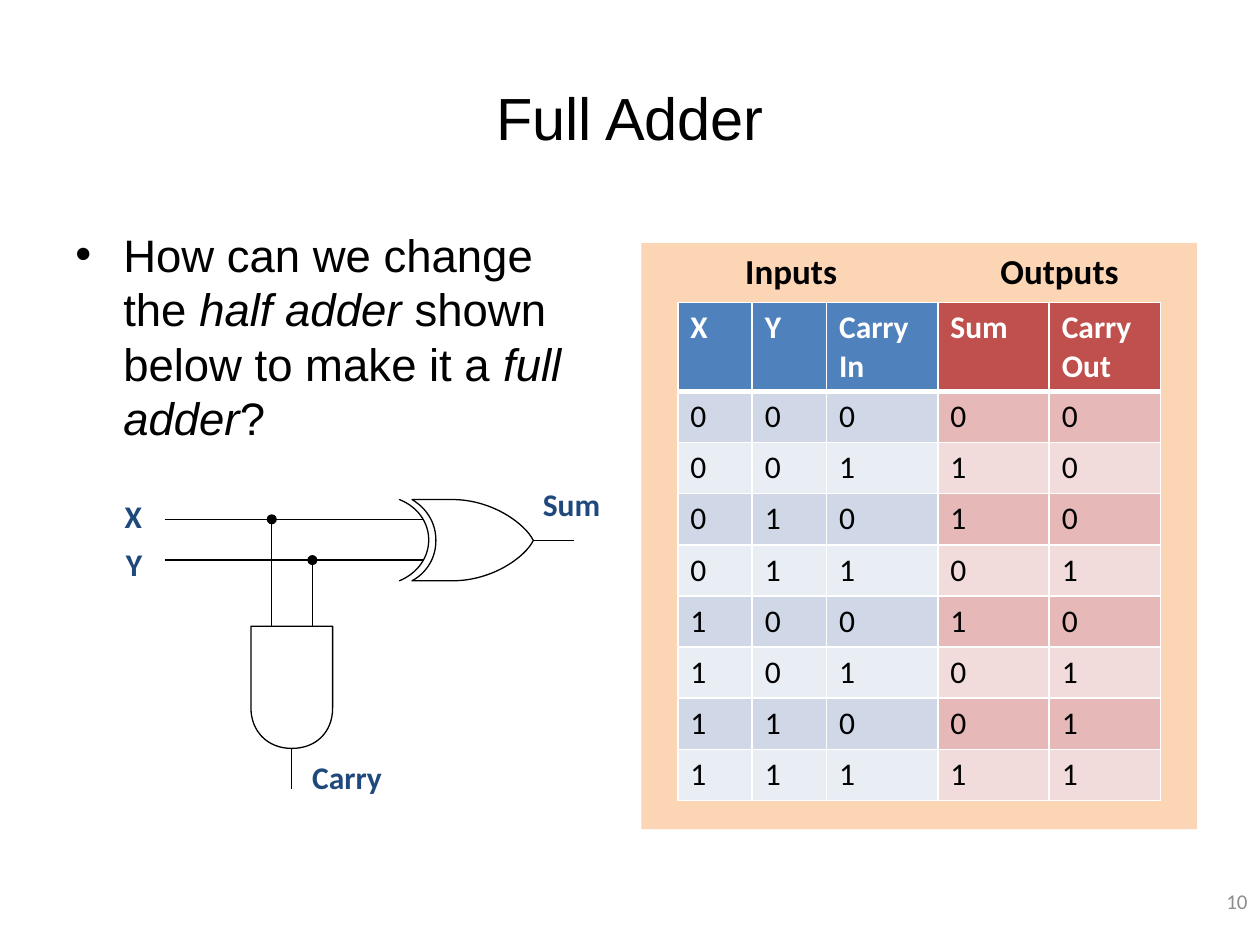
from itertools import product

from lxml import etree
from pptx import Presentation
from pptx.dml.color import RGBColor
from pptx.enum.shapes import MSO_CONNECTOR, MSO_SHAPE
from pptx.enum.text import MSO_ANCHOR, PP_ALIGN
from pptx.oxml.ns import qn
from pptx.util import Inches, Pt

LEFT, MID, RIGHT = PP_ALIGN.LEFT, PP_ALIGN.CENTER, PP_ALIGN.RIGHT
TOP, CENTER = MSO_ANCHOR.TOP, MSO_ANCHOR.MIDDLE
RECT, OVAL = MSO_SHAPE.RECTANGLE, MSO_SHAPE.OVAL
STRAIGHT = MSO_CONNECTOR.STRAIGHT

COLS, ROWS = 100, 75
HEX = {
    "ink": "000000", "white": "FFFFFF", "gray": "8C8C8C", "navy": "1F497D",
    "panel": "FCD5B5", "blue": "4F81BD", "red": "C0504D",
    "blue1": "D0D8E8", "blue2": "E9EDF4", "red1": "E6B9B8", "red2": "F2DCDB",
}
FONTS = {
    "title": {"name": "Arial", "size": Pt(34)},
    "body": {"name": "Arial", "size": Pt(26)},
    "page": {"name": "Calibri", "size": Pt(12)},
    "group": {"name": "Calibri", "size": Pt(20), "bold": True},
    "label": {"name": "Calibri", "size": Pt(18), "bold": True},
    "cell": {"name": "Calibri", "size": Pt(18), "bold": False},
}


def color(key):
    return RGBColor.from_string(HEX[key])


class Board:
    """The current slide, measured on a grid of COLS by ROWS."""

    def __init__(self, deck):
        self.slide = deck.slides.add_slide(deck.slide_layouts[6])
        self.shapes = self.slide.shapes
        self.dx, self.dy = deck.slide_width / COLS, deck.slide_height / ROWS

    def scale(self, x, y):
        return round(x * self.dx), round(y * self.dy)

    def box(self, x, y, w, h):
        return *self.scale(x, y), *self.scale(w, h)

    def run(self, para, text, style, ink, **more):
        part = para.add_run()
        part.text = text
        for key, value in {**FONTS[style], **more}.items():
            setattr(part.font, key, value)
        part.font.color.rgb = color(ink)

    def text(self, area, words, style, ink="ink", align=LEFT, anchor=TOP):
        """Words are (text, italic) pairs or one plain string."""
        frame = self.shapes.add_textbox(*self.box(*area)).text_frame
        frame.word_wrap = True
        frame.vertical_anchor = anchor
        para = frame.paragraphs[0]
        para.alignment = align
        pairs = [(words, False)] if isinstance(words, str) else words
        for part, slant in pairs:
            self.run(para, part, style, ink, italic=slant)
        return para

    def bullet(self, area, words, style):
        props = self.text(area, words, style)._p.get_or_add_pPr()
        props.set("marL", str(Inches(0.38)))
        props.set("indent", str(-Inches(0.38)))
        etree.SubElement(props, qn("a:buFont"), typeface="Arial")
        etree.SubElement(props, qn("a:buChar"), char="•")

    def shape(self, kind, area, fill):
        item = self.shapes.add_shape(kind, *self.box(*area))
        item.shadow.inherit = False
        item.fill.solid()
        item.fill.fore_color.rgb = color(fill)
        item.line.fill.background()

    def dot(self, x, y, size=0.8):
        self.shape(OVAL, (x - size / 2, y - size / 2, size, size), "ink")

    def pen(self, item):
        item.line.color.rgb = color("ink")
        item.line.width = Pt(0.75)

    def wire(self, start, end):
        item = self.shapes.add_connector(
            STRAIGHT, *self.scale(*start), *self.scale(*end))
        etree.SubElement(item._element.spPr, qn("a:effectLst"))
        self.pen(item)

    def outline(self, start, *parts):
        """Each part is one point for a line, or three for a cubic curve."""
        spots = [self.scale(*spot) for part in parts for spot in part]
        build = self.shapes.build_freeform(*self.scale(*start))
        build.add_line_segments(spots, close=False)
        item = build.convert_to_shape()
        steps = iter(list(item._element.iter(qn("a:lnTo"))))
        for part in parts:
            step = next(steps)
            if len(part) == 3:
                step.tag = qn("a:cubicBezTo")
                for _ in range(2):
                    extra = next(steps)
                    extra.getparent().remove(extra)
                    step.append(extra[0])
        item.shadow.inherit = False
        item.fill.solid()
        item.fill.fore_color.rgb = color("white")
        self.pen(item)

    def cell(self, cell, text, style, ink, fill, edges):
        for i, part in enumerate(text.split("\n")):
            frame = cell.text_frame
            para = frame.add_paragraph() if i else frame.paragraphs[0]
            self.run(para, part, style, ink)
        props = cell._tc.get_or_add_tcPr()
        for side, width in edges.items():
            line = etree.SubElement(props, qn(f"a:ln{side}"), w=str(Pt(width)))
            solid = etree.SubElement(line, qn("a:solidFill"))
            etree.SubElement(solid, qn("a:srgbClr"), val=HEX["white"])
        cell.fill.solid()
        cell.fill.fore_color.rgb = color(fill)

    def table(self, area, data, widths, heights, split):
        """Columns before split are blue, the others red."""
        grid = self.shapes.add_table(
            len(data), len(widths), *self.box(*area)).table
        for col, width in zip(grid.columns, widths):
            col.width = round(width * self.dx)
        for row, height in zip(grid.rows, heights):
            row.height = round(height * self.dy)
        for r, row in enumerate(data):
            shade = str(2 - r % 2) if r else ""
            style, ink = ("cell", "ink") if r else ("label", "white")
            edges = {"L": 1, "R": 1, "T": 3 if r == 1 else 1,
                     "B": 1 if r else 3}
            for c, value in enumerate(row):
                fill = ("blue" if c < split else "red") + shade
                self.cell(grid.cell(r, c), str(value), style, ink, fill, edges)


def truth(board):
    board.shape(RECT, (50.9, 19.3, 44.1, 46.5), "panel")
    data = [("X", "Y", "Carry\nIn", "Sum", "Carry\nOut")]
    for bits in product((0, 1), repeat=3):
        total = sum(bits)
        data.append((*bits, total % 2, total // 2))
    board.table((53.8, 24, 38.3, 39.5), data, [5.9] * 2 + [8.84] * 3,
                [7.06] + [4.06] * 8, split=3)
    for x, name in ((56.1, "Inputs"), (77.4, "Outputs")):
        board.text((x, 19.3, 13.4, 4.4), name, "group", align=MID)


def adder(board):
    """The half adder: an XOR gate for the sum, an AND gate for the carry."""
    top, low, axis, stem = 41.22, 44.45, 42.9, 23.16
    inputs = ((21.57, top), (24.79, low))
    board.outline(
        (26.4, 56.2),
        ((26.4, 58.1), (25.1, 59.4), (stem, 59.4)),
        ((21.2, 59.4), (19.92, 58), (19.92, 56.2)),
        ((19.92, 49.7),), ((26.4, 49.7),), ((26.4, 56.2),))
    for x, y in inputs:
        board.wire((x, 46.5), (x, 49.7))
    board.wire((stem, 59.4), (stem, 62.6))

    back, ends = (31.7, 39.65), ((34.8, 40.9), (34.8, 44.8))
    board.outline(back, (*ends, (31.7, 46.1)), (*ends[::-1], back))
    for x, y in inputs:
        board.wire((29.4, y), (33.6, y))
    board.wire((42.3, axis), (45.53, axis))
    board.outline(
        (35.9, 39.65),
        ((39.1, 39.65), (41.7, 41.6), (42.33, axis)),
        ((41.7, 44.2), (39.1, 46.1), (35.9, 46.1)),
        ((34.9, 46.1), (34.8, 46.1), (32.7, 46.1)),
        ((33.3, 45.8), (34.6, 44.8), (34.6, axis)),
        ((34.6, 41), (33.3, 40), (32.7, 39.65)),
        ((34.8, 39.65), (35, 39.65), (35.9, 39.65)))

    for x, y in inputs:
        board.wire((13.1, y), (33.3, y))
        board.wire((x, y), (x, 49.7))
        board.dot(x, y)
    for x, y, name in ((42.1, 38, "Sum"), (23.8, 59.7, "Carry"),
                       (8.9, 38.95, "X"), (9, 42.75, "Y")):
        board.text((x, y, 19.7, 4), name, "label", "navy")


def main():
    deck = Presentation()
    deck.slide_width, deck.slide_height = Inches(10), Inches(7.5)
    board = Board(deck)
    board.text((5, 3, 90, 12.5), "Full Adder", "title", "ink", MID, CENTER)
    board.bullet((5, 17.5, 44.2, 49.5), [
        ("How can we change the ", False), ("half adder ", True),
        ("shown below to make it a ", False), ("full adder", True),
        ("?", False)], "body")
    board.text((76.7, 69.5, 23.3, 4), "10", "page", "gray", RIGHT, CENTER)
    truth(board)
    adder(board)
    deck.save("out.pptx")


if __name__ == "__main__":
    main()
